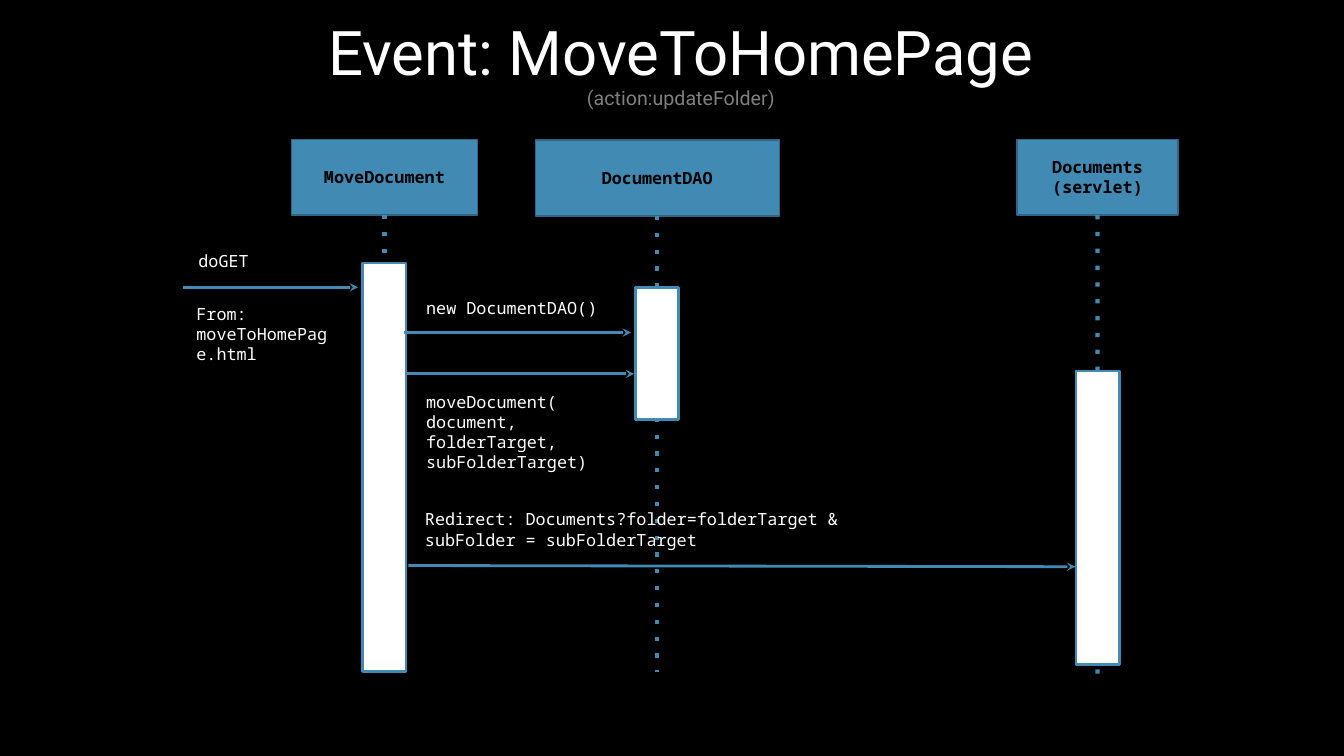
from lxml import etree
from pptx import Presentation
from pptx import util as u
from pptx.dml.color import RGBColor
from pptx.enum import shapes, text
from pptx.oxml.ns import qn

Cm, Pt = u.Cm, u.Pt
BLUE, EDGE, WHITE, BLACK, GRAY = "418AB3", "306684", "FFFFFF", "000000", "808080"
MONO = "Noto Sans Mono"


def write(par, words, size=12, font=MONO, color=WHITE, bold=False):
    run = par.add_run()
    run.text = words
    run.font.size, run.font.name, run.font.bold = Pt(size), font, bold
    run.font.color.rgb = RGBColor.from_string(color)


def style(shape, width, color=BLUE, fill=None, **marks):
    """Format the outline; marks name the line's XML children and their value."""
    shape.line.width = Pt(width)
    shape.line.color.rgb = RGBColor.from_string(color)
    if fill:
        shape.fill.solid()
        shape.fill.fore_color.rgb = RGBColor.from_string(fill)
        shape.shadow.inherit = False
    else:
        props = shape._element.spPr
        line = props.find(qn("a:ln"))
        for tag, (key, val) in marks.items():
            etree.SubElement(line, qn("a:" + tag)).set(key, val)
        etree.SubElement(props, qn("a:effectLst"))


prs = Presentation()
prs.slide_width, prs.slide_height = Cm(33.87), Cm(19.05)
slide = prs.slides.add_slide(prs.slide_layouts[5])
slide.background.fill.solid()
slide.background.fill.fore_color.rgb = RGBColor.from_string(BLACK)
items = slide.shapes

# Title
title = items.title
title.left, title.top, title.width, title.height = Cm(0.28), Cm(-0.18), Cm(33.76), Cm(3.68)
frame = title.text_frame
frame.vertical_anchor = text.MSO_ANCHOR.MIDDLE
frame.auto_size = text.MSO_AUTO_SIZE.NONE
par = frame.paragraphs[0]
par.alignment, par.line_spacing = text.PP_ALIGN.CENTER, 0.9
write(par, "Event: MoveToHomePage", size=44, font="Roboto")
par.add_line_break()
write(par, "(action:updateFolder)", size=14, font="Roboto", color=GRAY)

# Actors: lines, left, top, width, lifeline end, bar top, bar height
actors = [
    (["MoveDocument"], 7.34, 3.51, 4.7, 16.94, 6.63, 10.29),
    (["DocumentDAO"], 13.49, 3.53, 6.15, 16.94, 7.24, 3.33),
    (["Documents", "(servlet)"], 25.63, 3.51, 4.06, 17.12, 9.35, 7.39),
]
BAR = 1.09
for lines, left, top, wide, end, start, high in actors:
    mid = left + wide / 2
    head = items.add_shape(shapes.MSO_SHAPE.RECTANGLE, Cm(left), Cm(top), Cm(wide), Cm(1.91))
    style(head, 1, EDGE, fill=BLUE)
    frame = head.text_frame
    frame.word_wrap = True
    frame.vertical_anchor = text.MSO_ANCHOR.MIDDLE
    for i, words in enumerate(lines):
        par = frame.add_paragraph() if i else frame.paragraphs[0]
        par.alignment = text.PP_ALIGN.CENTER
        write(par, words, color=BLACK, bold=True)

    life = items.add_connector(shapes.MSO_CONNECTOR.STRAIGHT, Cm(mid), Cm(top + 1.91), Cm(mid), Cm(end))
    life.begin_connect(head, 2)
    style(life, 3, prstDash=("val", "dot"))

    bar = items.add_shape(shapes.MSO_SHAPE.RECTANGLE, Cm(mid - BAR / 2), Cm(start), Cm(BAR), Cm(high))
    style(bar, 2, fill=WHITE)

# Messages: start x, start y, end x, end y
arrows = [
    (4.62, 7.24, 9.02, 7.24),
    (10.19, 8.38, 15.9, 8.38),
    (10.26, 9.42, 15.98, 9.42),
    (10.29, 14.25, 27.1, 14.28),
]
for ends in arrows:
    arrow = items.add_connector(shapes.MSO_CONNECTOR.STRAIGHT, *map(Cm, ends))
    style(arrow, 2, tailEnd=("type", "stealth"))

# Labels: lines, left, top, width, height, side inset, top inset
labels = [
    (["doGET"], 4.67, 6.15, 3.28, 0.97, 0.33, 0.18),
    (["From: moveToHomePage.html"], 4.62, 7.47, 4.17, 4.83, 0.33, 0.18),
    (["new DocumentDAO()"], 10.41, 7.32, 6.15, 0.97, 0.33, 0.18),
    (["moveDocument(", "document,", "folderTarget, subFolderTarget)"],
     10.41, 9.68, 6.15, 2.57, 0.33, 0.18),
    (["Redirect: Documents?folder=folderTarget & subFolder = subFolderTarget"],
     10.46, 12.7, 10.92, 1.91, 0.25, 0.13),
]
for lines, left, top, wide, high, side, edge in labels:
    frame = items.add_textbox(Cm(left), Cm(top), Cm(wide), Cm(high)).text_frame
    frame.word_wrap = True
    frame.margin_left = frame.margin_right = Cm(side)
    frame.margin_top = frame.margin_bottom = Cm(edge)
    for i, words in enumerate(lines):
        par = frame.add_paragraph() if i else frame.paragraphs[0]
        write(par, words)

prs.save("out.pptx")
